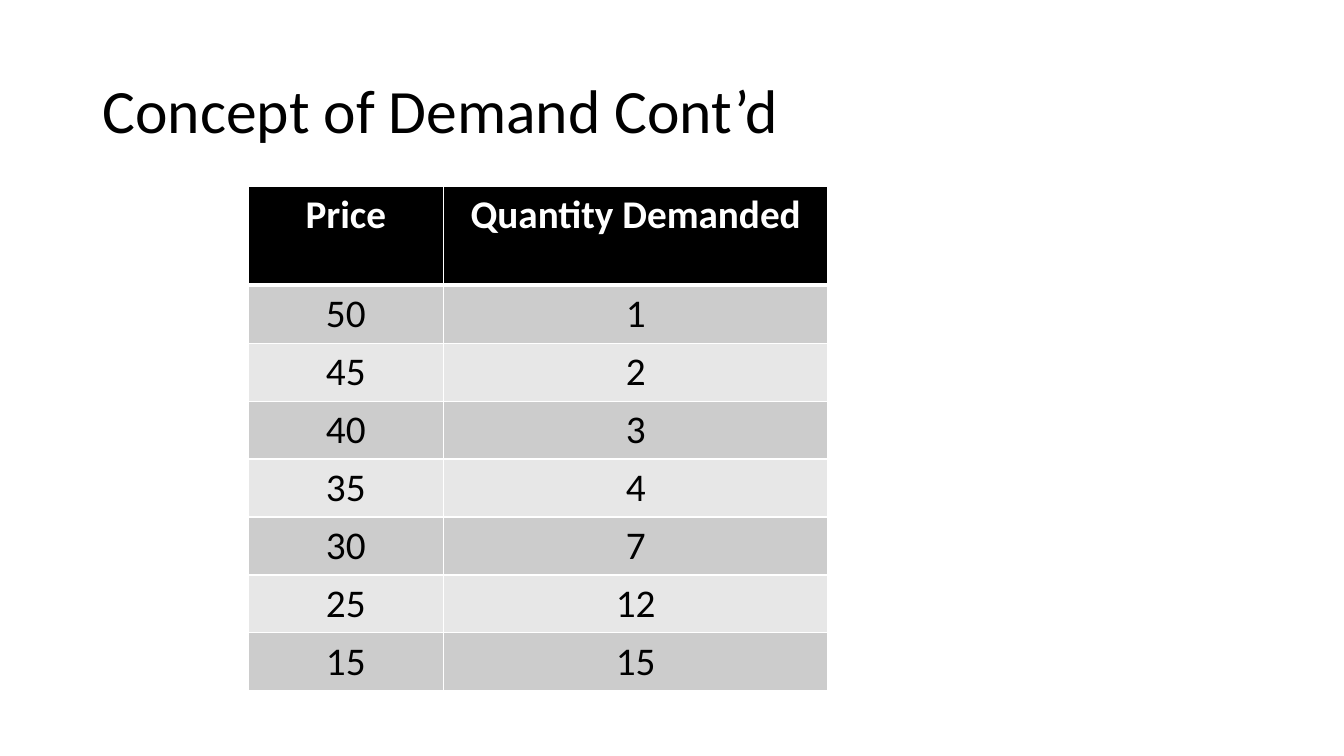
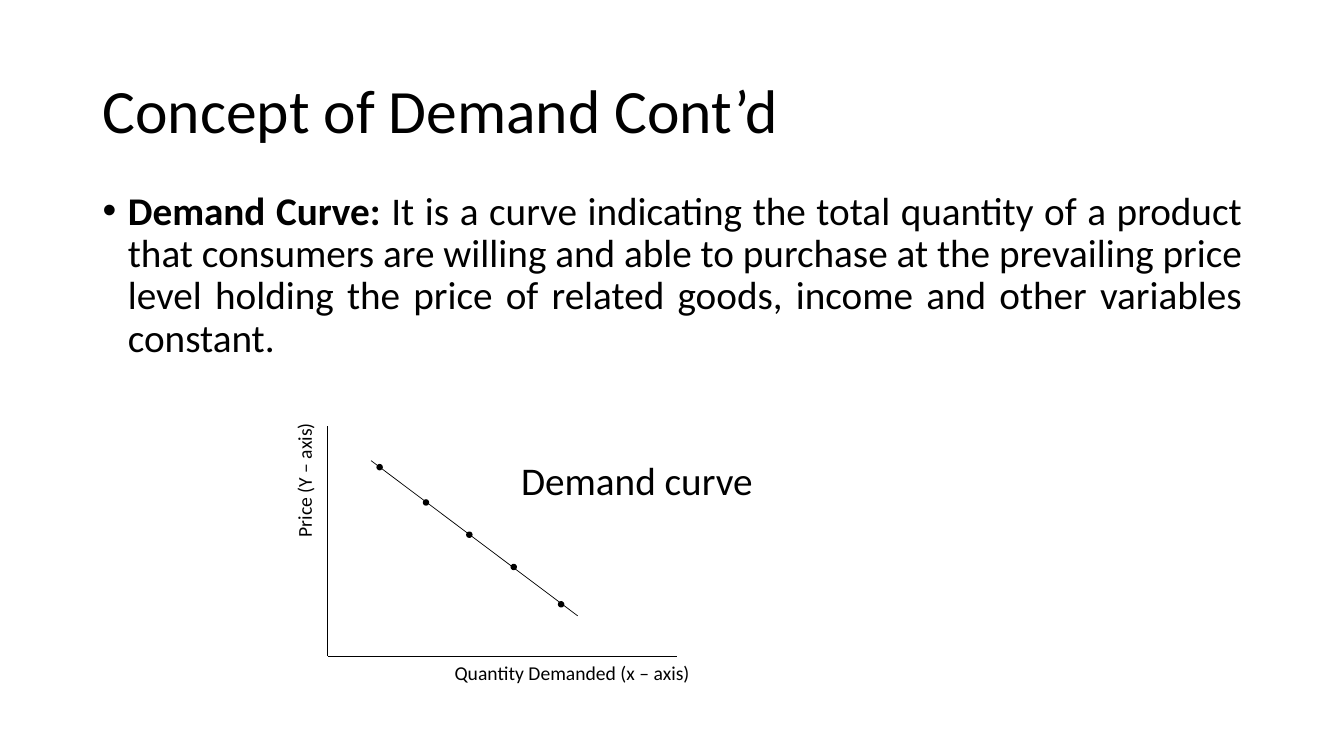
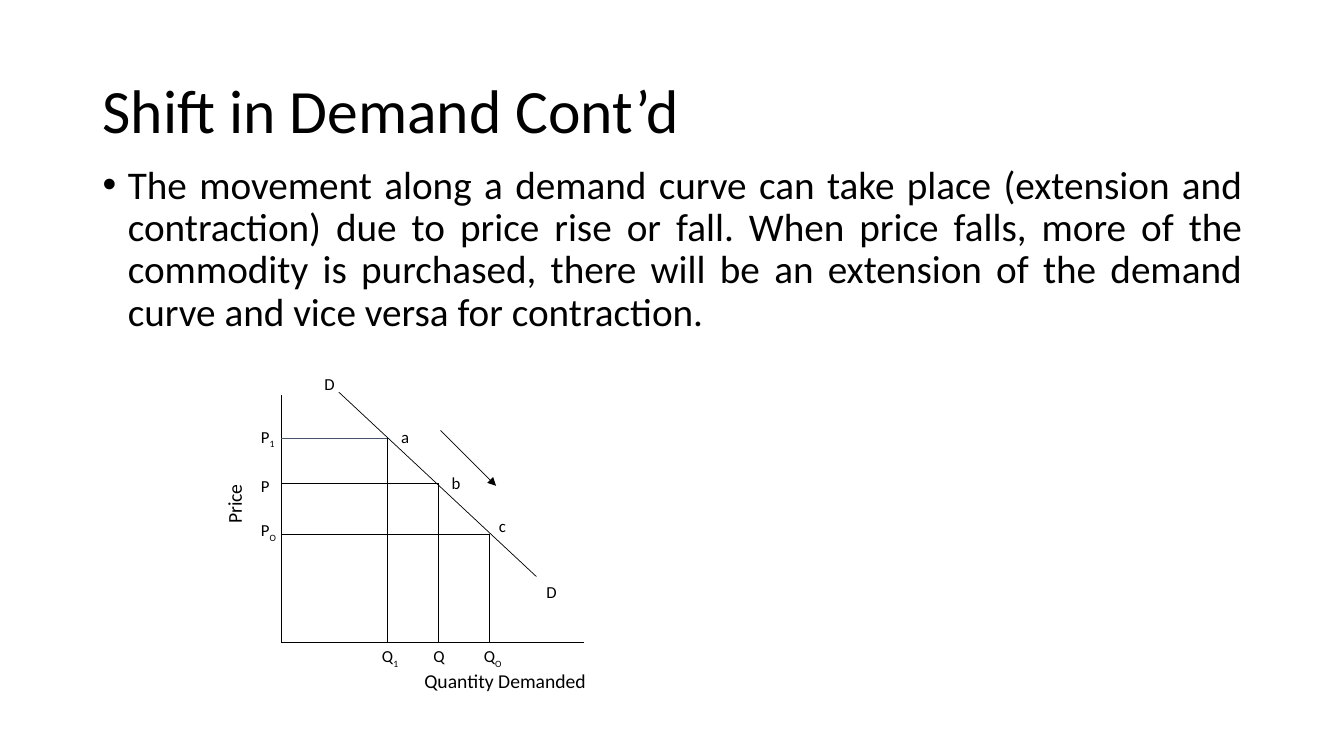
from lxml import etree
from pptx import Presentation
from pptx.dml.color import RGBColor
from pptx.enum.shapes import MSO_CONNECTOR, MSO_SHAPE
from pptx.enum.text import MSO_ANCHOR, PP_ALIGN
from pptx.oxml.ns import qn
from pptx.util import Inches, Pt

LEFT, CENTER, JUSTIFY = PP_ALIGN.LEFT, PP_ALIGN.CENTER, PP_ALIGN.JUSTIFY
TOP, MIDDLE = MSO_ANCHOR.TOP, MSO_ANCHOR.MIDDLE
STRAIGHT, OVAL = MSO_CONNECTOR.STRAIGHT, MSO_SHAPE.OVAL

FONT = "Calibri"
BLACK, WHITE, SLATE = "000000", "FFFFFF", "44546A"
BANDS = ("CCCCCC", "E7E7E7")


def color(value):
    return RGBColor.from_string(value)


def write(frame, text, size=28, ink=BLACK, bold=False, align=LEFT, spacing=None,
          bullet=False, lead="", subscript=""):
    """Fill a text frame: a bold lead, the text and a subscript, in that order."""
    paragraph = frame.paragraphs[0]
    paragraph.alignment = align
    if bullet:
        properties = paragraph._p.get_or_add_pPr()
        properties.set("marL", str(Inches(0.25)))
        properties.set("indent", str(-Inches(0.25)))
        etree.SubElement(properties, qn("a:buFont")).set("typeface", "Arial")
        etree.SubElement(properties, qn("a:buChar")).set("char", "•")
    if spacing:
        paragraph.line_spacing = spacing
    parts = ((lead, True, None), (text, bold, None), (subscript, bold, "-25000"))
    for part, part_bold, baseline in parts:
        if not part:
            continue
        run = paragraph.add_run()
        run.text = part
        run.font.name = FONT
        run.font.size = Pt(size)
        run.font.bold = part_bold
        run.font.color.rgb = color(ink)
        if baseline:
            run._r.get_or_add_rPr().set("baseline", baseline)


def set_borders(cell, top=1, bottom=1):
    properties = cell._tc.get_or_add_tcPr()
    for side, width in (("L", 1), ("R", 1), ("T", top), ("B", bottom)):
        line = etree.SubElement(properties, qn("a:ln" + side), w=str(Pt(width)))
        fill = etree.SubElement(line, qn("a:solidFill"))
        etree.SubElement(fill, qn("a:srgbClr")).set("val", WHITE)


class Deck:
    def __init__(self):
        self.presentation = Presentation()
        self.presentation.slide_width = Inches(13.33)
        self.presentation.slide_height = Inches(7.5)
        self.slide = None

    def new_slide(self, title):
        self.slide = self.presentation.slides.add_slide(self.presentation.slide_layouts[6])
        self.text(title, 0.92, 0.4, 11.5, 1.45, anchor=MIDDLE, size=44, spacing=0.9)

    def text(self, text, left, top, width, height, anchor=TOP, rotation=0, **style):
        shape = self.slide.shapes.add_textbox(
            Inches(left), Inches(top), Inches(width), Inches(height))
        shape.rotation = rotation
        shape.text_frame.word_wrap = True
        shape.text_frame.vertical_anchor = anchor
        write(shape.text_frame, text, **style)

    def body(self, text, top, lead=""):
        self.text(text, 0.92, top, 11.5, 4.76, align=JUSTIFY, spacing=0.9,
                  bullet=True, lead=lead)

    def line(self, start, end, ink=BLACK, arrow=False):
        connector = self.slide.shapes.add_connector(
            STRAIGHT, *(Inches(value) for value in (*start, *end)))
        connector.line.color.rgb = color(ink)
        connector.line.width = Pt(0.5)
        properties = connector._element.spPr
        if arrow:
            etree.SubElement(properties.find(qn("a:ln")), qn("a:tailEnd")).set("type", "triangle")
        etree.SubElement(properties, qn("a:effectLst"))

    def axes(self, left, top, right, bottom):
        self.line((left, top), (left, bottom))
        self.line((left, bottom), (right, bottom))

    def dot(self, left, top, size=0.05):
        shape = self.slide.shapes.add_shape(
            OVAL, Inches(left), Inches(top), Inches(size), Inches(size))
        shape.shadow.inherit = False
        shape.fill.solid()
        shape.fill.fore_color.rgb = color(BLACK)
        shape.line.color.rgb = color(BLACK)
        shape.line.width = Pt(1)

    def table(self, rows, left, top, widths, header_height, row_height):
        heights = [header_height] + [row_height] * (len(rows) - 1)
        table = self.slide.shapes.add_table(
            len(rows), len(widths), Inches(left), Inches(top),
            Inches(sum(widths)), Inches(sum(heights))).table
        for column, width in zip(table.columns, widths):
            column.width = Inches(width)
        for index, (values, height) in enumerate(zip(rows, heights)):
            table.rows[index].height = Inches(height)
            header = index == 0
            for cell, value in zip(table.rows[index].cells, values):
                set_borders(cell, top=3 if index == 1 else 1, bottom=3 if header else 1)
                cell.fill.solid()
                cell.fill.fore_color.rgb = color(BLACK if header else BANDS[(index - 1) % 2])
                write(cell.text_frame, str(value), align=CENTER, bold=header,
                      ink=WHITE if header else BLACK)


def demand_schedule(deck):
    deck.new_slide("Concept of Demand Cont’d")
    rows = [("Price", "Quantity Demanded"), (50, 1), (45, 2), (40, 3), (35, 4),
            (30, 7), (25, 12), (15, 15)]
    deck.table(rows, 2.46, 1.85, (1.94, 3.81), 0.98, 0.575)


def demand_curve(deck):
    deck.new_slide("Concept of Demand Cont’d")
    deck.body("It is a curve indicating the total quantity of a product that consumers are "
              "willing and able to purchase at the prevailing price level holding the price "
              "of related goods, income and other variables constant.",
              1.85, lead="Demand Curve: ")

    # Axes, curve and its points
    deck.axes(3.25, 4.23, 6.71, 6.51)
    deck.line((3.68, 4.57), (5.73, 6.11))
    for left, top in ((3.74, 4.61), (4.2, 4.96), (4.63, 5.28), (5.07, 5.6), (5.54, 5.97)):
        deck.dot(left, top)

    # Labels
    deck.text("Demand curve", 5.07, 4.48, 2.99, 0.73)
    deck.text("Quantity Demanded (x – axis)", 4.41, 6.51, 2.99, 0.4, size=14)
    deck.text("Price (Y – axis)", 2.32, 4.5, 1.46, 0.4, rotation=270, size=14)


def demand_movement(deck):
    deck.new_slide("Shift in Demand Cont’d")
    deck.body("The movement along a demand curve can take place (extension and contraction) "
              "due to price rise or fall. When price falls, more of the commodity is "
              "purchased, there will be an extension of the demand curve and vice versa "
              "for contraction.", 1.59)

    # Axes, curve and direction arrow
    axis_left, axis_bottom = 2.79, 6.37
    deck.axes(axis_left, 3.92, 5.79, axis_bottom)
    deck.line((3.36, 3.89), (5.32, 5.72))
    deck.line((4.37, 4.27), (4.92, 4.82), arrow=True)
    for left, top in ((3.12, 3.66), (5.32, 5.72)):
        deck.text("D", left, top, 0.43, 0.37, size=12)

    # Points: name, place, subscript, guide colour, top of price label, place of name
    points = (("a", 3.84, 4.35, "1", SLATE, 4.18, (3.88, 4.18)),
              ("b", 4.35, 4.8, "", BLACK, 4.67, (4.38, 4.64)),
              ("c", 4.85, 5.3, "O", BLACK, 5.11, (4.85, 5.07)))
    for name, x, y, subscript, ink, price_top, name_place in points:
        deck.line((x, y), (x, axis_bottom))
        deck.line((x, y), (axis_left, y), ink=ink)
        deck.text("P", 2.49, price_top, 0.46, 0.41, size=12, subscript=subscript)
        deck.text("Q", x - 0.15, 6.36, 0.46, 0.41, size=12, subscript=subscript)
        deck.text(name, *name_place, 0.41, 0.37, size=12)

    # Axis titles
    deck.text("Quantity Demanded", 4.11, 6.59, 2.35, 0.4, size=14)
    deck.text("Price", 2.02, 4.76, 0.67, 0.4, rotation=270, size=14)


def main():
    deck = Deck()
    demand_schedule(deck)
    demand_curve(deck)
    demand_movement(deck)
    deck.presentation.save("out.pptx")


if __name__ == "__main__":
    main()
